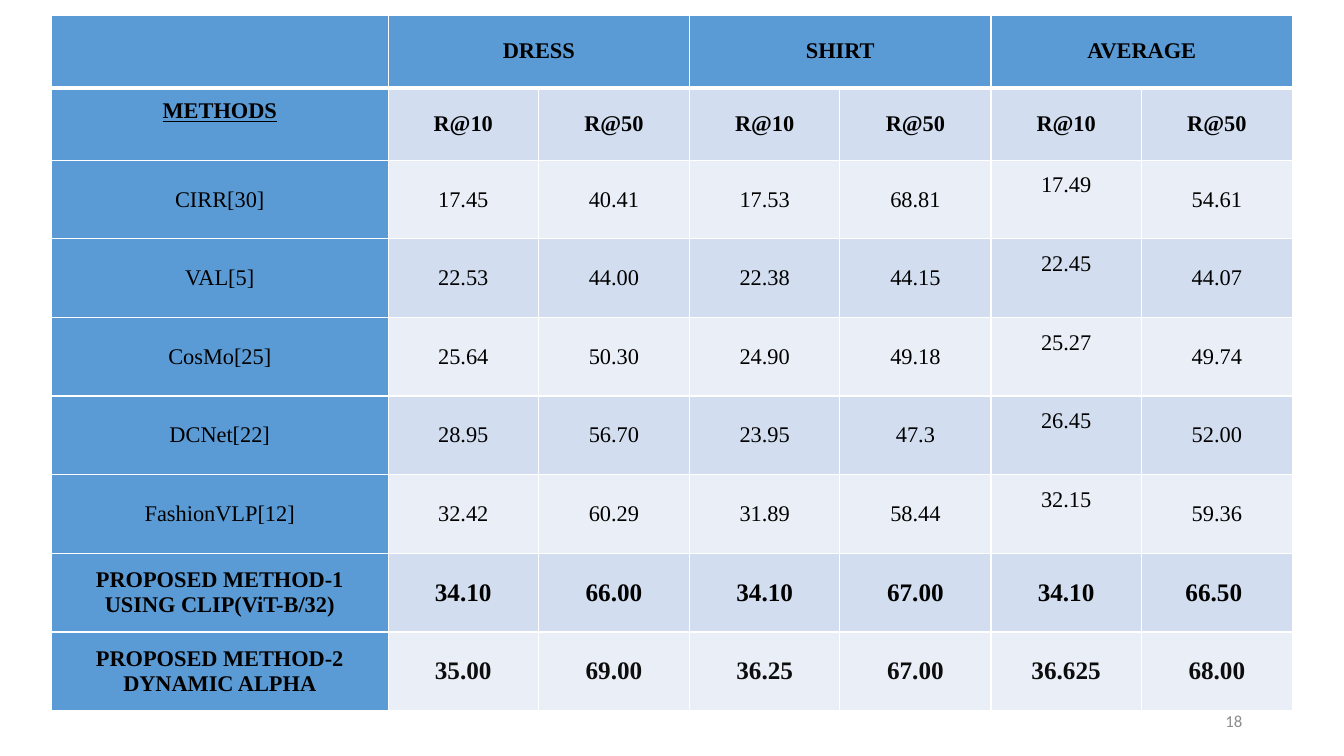
from lxml import etree
from pptx import Presentation
from pptx.dml.color import RGBColor
from pptx.enum.text import MSO_ANCHOR, PP_ALIGN
from pptx.oxml.ns import qn
from pptx.util import Inches, Pt

BLUE = RGBColor(0x5B, 0x9B, 0xD5)
DARK = RGBColor(0xD2, 0xDE, 0xEF)
LIGHT = RGBColor(0xEA, 0xEF, 0xF7)
BLACK = RGBColor(0, 0, 0)
INK = RGBColor(0x0D, 0x0D, 0x0D)
GREY = RGBColor(0x8C, 0x8C, 0x8C)
WHITE = RGBColor(0xFF, 0xFF, 0xFF)

ROWS = [
    ["", "DRESS", "", "SHIRT", "", "AVERAGE", ""],
    ["METHODS"] + ["R@10", "R@50"] * 3,
    ["CIRR[30]", "17.45", "40.41", "17.53", "68.81", "17.49", "54.61"],
    ["VAL[5]", "22.53", "44.00", "22.38", "44.15", "22.45", "44.07"],
    ["CosMo[25]", "25.64", "50.30", "24.90", "49.18", "25.27", "49.74"],
    ["DCNet[22]", "28.95", "56.70", "23.95", "47.3", "26.45", "52.00"],
    ["FashionVLP[12]", "32.42", "60.29", "31.89", "58.44", "32.15", "59.36"],
    ["PROPOSED METHOD-1\nUSING CLIP(ViT-B/32)",
     "34.10", "66.00", "34.10", "67.00", "34.10", "66.50"],
    ["PROPOSED METHOD-2\nDYNAMIC ALPHA",
     "35.00", "69.00", "36.25", "67.00", "36.625", "68.00"],
]
WIDTHS = [3.34] + [1.49, 1.5] * 3
HEIGHTS = [0.72] * 2 + [0.78] * 7
OURS = 7  # first row of the proposed methods


def add_edges(cell, top, bottom):
    """Draw white cell borders; top and bottom are widths in points."""
    props = cell._tc.get_or_add_tcPr()
    for side, width in (("L", 1), ("R", 1), ("T", top), ("B", bottom)):
        line = etree.SubElement(props, qn(f"a:ln{side}"), w=str(Pt(width)))
        fill = etree.SubElement(line, qn("a:solidFill"))
        etree.SubElement(fill, qn("a:srgbClr"), val=str(WHITE))


prs = Presentation()
prs.slide_width, prs.slide_height = Inches(13.33), Inches(7.5)
slide = prs.slides.add_slide(prs.slide_layouts[6])

frame = slide.shapes.add_table(len(ROWS), len(WIDTHS), Inches(0.51), Inches(0.15),
                               Inches(sum(WIDTHS)), Inches(sum(HEIGHTS)))
table = frame.table
for col, width in zip(table.columns, WIDTHS):
    col.width = Inches(width)
for row, height in zip(table.rows, HEIGHTS):
    row.height = Inches(height)
for c in (1, 3, 5):
    table.cell(0, c).merge(table.cell(0, c + 1))

for r, words in enumerate(ROWS):
    for c, word in enumerate(words):
        cell = table.cell(r, c)
        add_edges(cell, 3 if r == 1 else 1, 3 if r == 0 else 1)
        head = r == 0 or c == 0
        cell.fill.solid()
        cell.fill.fore_color.rgb = BLUE if head else DARK if r % 2 else LIGHT
        cell.vertical_anchor = MSO_ANCHOR.MIDDLE
        cell.margin_left = cell.margin_right = Inches(0.07)
        cell.margin_top = cell.margin_bottom = 0
        if cell.is_spanned:
            continue
        cell.text_frame.text = word
        for para in cell.text_frame.paragraphs:
            para.alignment = PP_ALIGN.CENTER
            para.space_before = Pt(0 if head else 2)
            for run in para.runs:
                font = run.font
                font.name = "Times New Roman"
                font.size = Pt(18 if r >= OURS and c else 16)
                font.bold = r < 2 or r >= OURS
                font.underline = r == 1 and c == 0
                font.color.rgb = INK if r == len(ROWS) - 1 and c else BLACK

# Cells whose text sits above the middle
table.cell(1, 0).margin_bottom = Inches(0.25)
for r in range(2, OURS):
    table.cell(r, 5).margin_bottom = Inches(0.28)
table.cell(OURS, 6).margin_right = Inches(0.13)

number = slide.shapes.add_textbox(Inches(9.42), Inches(6.95), Inches(3), Inches(0.4))
number.text_frame.word_wrap = True
number.text_frame.vertical_anchor = MSO_ANCHOR.MIDDLE
para = number.text_frame.paragraphs[0]
para.text = "18"
para.alignment = PP_ALIGN.RIGHT
font = para.runs[0].font
font.name, font.size = "Calibri", Pt(12)
font.color.rgb = GREY

prs.save("out.pptx")
